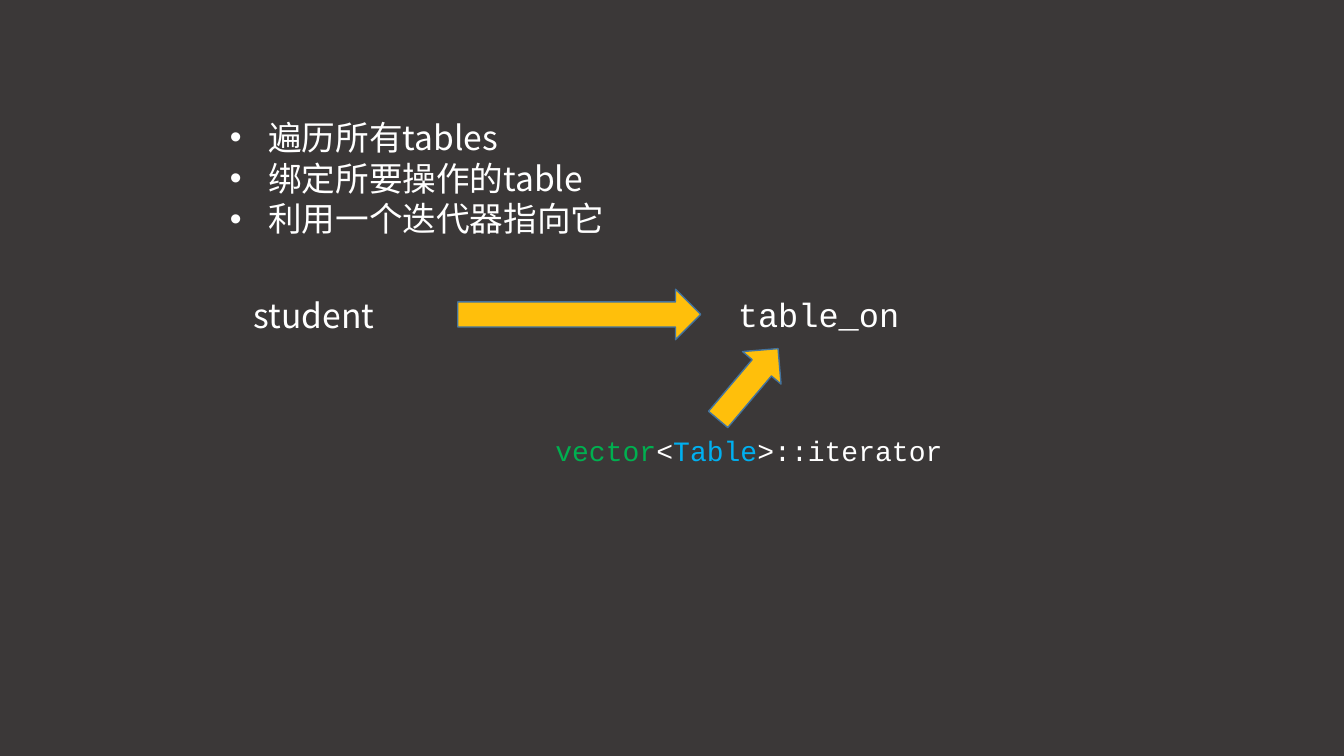
import pptx
import pptx.dml.color
import pptx.enum.shapes
import pptx.enum.text
import pptx.oxml
import pptx.oxml.ns
import pptx.util
from pptx.util import Inches

COLORS = {
    "background": "3B3838",
    "text": "FFFFFF",
    "arrow": "FFBF0B",
    "outline": "43739E",
    "container": "00B050",
    "type": "00B0F0",
}
SANS = "Noto Sans CJK SC"
MONO = "Courier New"


def rgb(name):
    return pptx.dml.color.RGBColor.from_string(COLORS[name])


def set_frame(frame):
    frame.word_wrap = True
    frame.auto_size = pptx.enum.text.MSO_AUTO_SIZE.NONE
    frame.vertical_anchor = pptx.enum.text.MSO_ANCHOR.TOP


def add_span(para, text, size=24, font=SANS, color="text"):
    span = para.add_run()
    span.text = text
    span.font.size = pptx.util.Pt(size)
    span.font.name = font
    span.font.color.rgb = rgb(color)
    east_asian = pptx.oxml.parse_xml(
        f'<a:ea {pptx.oxml.ns.nsdecls("a")} typeface="{font}"/>')
    span.font._element.find(pptx.oxml.ns.qn("a:latin")).addnext(east_asian)
    if font == SANS:
        para.line_spacing = pptx.util.Pt(29)


def add_steps(page, left, top, width, height, steps):
    body = page.placeholders[1]
    body.left, body.top = Inches(left), Inches(top)
    body.width, body.height = Inches(width), Inches(height)
    frame = body.text_frame
    set_frame(frame)
    for index, step in enumerate(steps):
        para = frame.add_paragraph() if index else frame.paragraphs[0]
        para.space_before = pptx.util.Pt(0)
        add_span(para, step)
        settings = para._p.get_or_add_pPr()
        settings.set("marL", str(Inches(0.38)))
        settings.set("indent", str(-Inches(0.38)))
        for tag in ('buFont typeface="Arial"', 'buChar char="•"'):
            settings.append(pptx.oxml.parse_xml(
                f'<a:{tag} {pptx.oxml.ns.nsdecls("a")}/>'))


def add_label(page, left, top, width, height, spans, size=24, font=SANS):
    box = page.shapes.add_textbox(
        Inches(left), Inches(top), Inches(width), Inches(height))
    set_frame(box.text_frame)
    for text, color in spans:
        add_span(box.text_frame.paragraphs[0], text, size, font, color)


def add_arrow(page, left, top, width, height, rotation=0):
    arrow = page.shapes.add_shape(
        pptx.enum.shapes.MSO_SHAPE.RIGHT_ARROW,
        Inches(left), Inches(top), Inches(width), Inches(height))
    arrow.rotation = rotation
    arrow.shadow.inherit = False
    arrow.fill.solid()
    arrow.fill.fore_color.rgb = rgb("arrow")
    arrow.line.color.rgb = rgb("outline")
    arrow.line.width = pptx.util.Pt(1)


def add_binding(page, left, top):
    row = 0.5
    add_label(page, left, top, 1.87, row, [("student", "text")])
    add_arrow(page, left + 2.12, top, 2.41, row)
    add_label(page, left + 4.8, top, 2.76, row, [("table_on", "text")], font=MONO)
    add_label(page, left + 2.99, top + 1.38, 4.17, 0.44, [
        ("vector", "container"), ("<", "text"),
        ("Table", "type"), (">::iterator", "text")], 20, MONO)
    add_arrow(page, left + 4.54, top + 0.69, 0.92, row, 310.2)


def build_page(deck):
    page = deck.slides.add_slide(deck.slide_layouts[1])
    page.background.fill.solid()
    page.background.fill.fore_color.rgb = rgb("background")
    title = page.shapes.title.element
    title.getparent().remove(title)
    add_steps(page, 2.18, 1.11, 10.84, 1.31, [
        "遍历所有tables", "绑定所要操作的table", "利用一个迭代器指向它"])
    add_binding(page, 2.42, 2.87)


deck = pptx.Presentation()
deck.slide_width, deck.slide_height = Inches(13.33), Inches(7.5)
build_page(deck)
deck.save("out.pptx")
